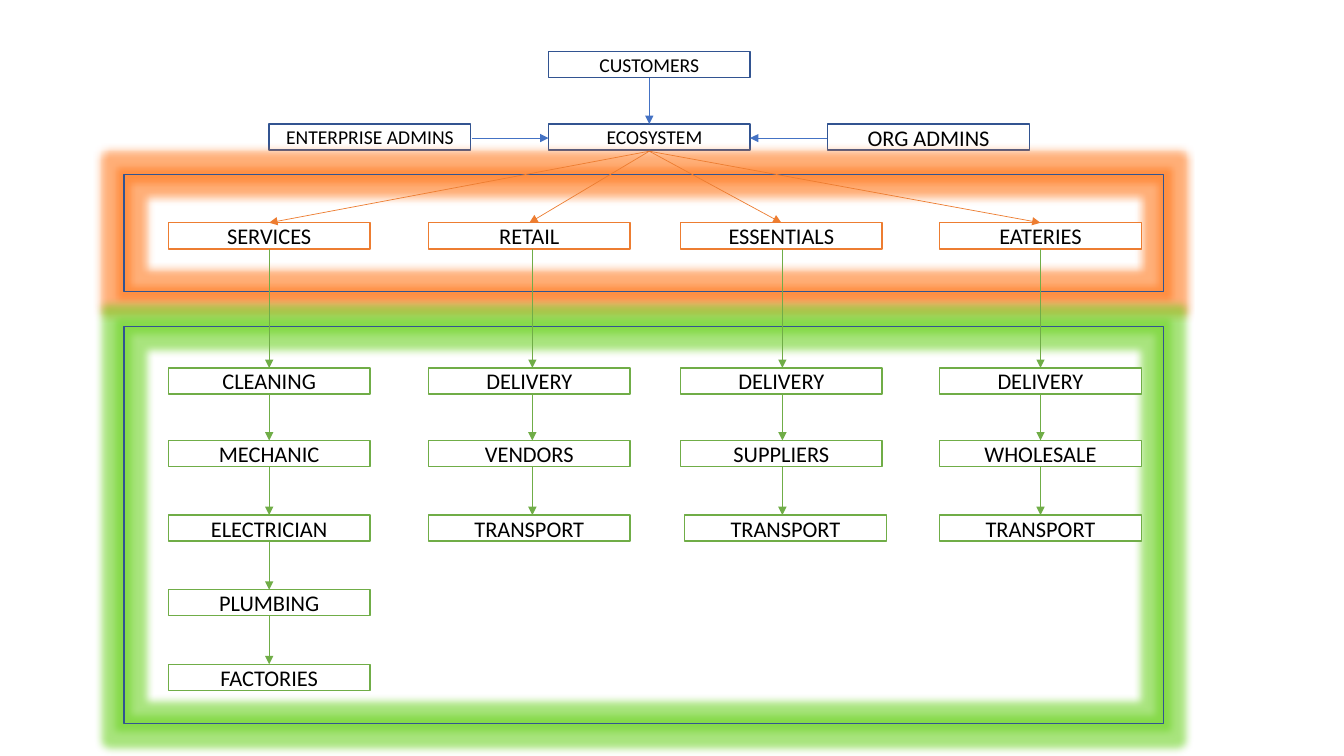
from dataclasses import dataclass

from lxml.etree import SubElement
from pptx import Presentation
from pptx.dml.color import RGBColor
from pptx.enum.shapes import MSO_CONNECTOR as CONN, MSO_SHAPE as SHAPE
from pptx.enum.text import MSO_ANCHOR as ANCHOR, PP_ALIGN as ALIGN
from pptx.oxml.ns import qn
from pptx.util import Inches, Pt


@dataclass(frozen=True)
class Theme:
    font: str = "Calibri"
    small: int = 14
    normal: int = 16
    text: str = "000000"
    paper: str = "FFFFFF"
    navy: str = "325491"
    blue: str = "4472C4"
    orange: str = "ED7D31"
    green: str = "70AD47"
    orange_glow: str = "FF7A1F"
    green_glow: str = "6FD327"
    box_line: float = 1
    arrow_line: float = 0.5
    glow_radius: int = 11
    glow_alpha: int = 60


BOX_W, BOX_H = 2, 0.26
TOP_Y, HUB_Y, SECTOR_Y = 0.51, 1.23, 2.21
HUB_X = 5.44
STEP_YS = (3.65, 4.37, 5.11, 5.85, 6.59)
PANEL_X, PANEL_W = 1.23, 10.31

# left edge, x of the downward arrows, sector, steps
COLUMNS = (
    (1.67, 2.67, "SERVICES",
     ("CLEANING", "MECHANIC", "ELECTRICIAN", "PLUMBING", "FACTORIES")),
    (4.25, 5.28, "RETAIL", ("DELIVERY", "VENDORS", "TRANSPORT")),
    (6.75, 7.76, "ESSENTIALS", ("DELIVERY", "SUPPLIERS", "TRANSPORT")),
    (9.32, 10.32, "EATERIES", ("DELIVERY", "WHOLESALE", "TRANSPORT")),
)
NUDGES = {("ESSENTIALS", "TRANSPORT"): 0.04}


class Diagram:
    def __init__(self, slide, theme):
        self.s = slide
        self.theme = theme

    def rect(self, x, y, w, h, line):
        sp = self.s.shapes.add_shape(
            SHAPE.RECTANGLE, Inches(x), Inches(y), Inches(w), Inches(h))
        sp.shadow.inherit = False
        sp.line.color.rgb = RGBColor.from_string(line)
        sp.line.width = Pt(self.theme.box_line)
        return sp

    def box(self, x, y, text, line, size):
        sp = self.rect(x, y, BOX_W, BOX_H, line)
        sp.fill.solid()
        sp.fill.fore_color.rgb = RGBColor.from_string(self.theme.paper)
        tf = sp.text_frame
        tf.word_wrap = True
        tf.vertical_anchor = ANCHOR.MIDDLE
        p = tf.paragraphs[0]
        p.alignment = ALIGN.CENTER
        r = p.add_run()
        r.text = text
        r.font.name = self.theme.font
        r.font.size = Pt(size)
        r.font.color.rgb = RGBColor.from_string(self.theme.text)
        return sp

    def panel(self, y, h, glow_color):
        """Unfilled frame with a coloured glow."""
        sp = self.rect(PANEL_X, y, PANEL_W, h, self.theme.navy)
        sp.fill.background()
        effects = sp._element.spPr.find(qn("a:effectLst"))
        glow = SubElement(effects, qn("a:glow"),
                          rad=str(Pt(self.theme.glow_radius)))
        color = SubElement(glow, qn("a:srgbClr"), val=glow_color)
        SubElement(color, qn("a:alpha"),
                   val=str(self.theme.glow_alpha * 1000))

    def arrow(self, x1, y1, x2, y2, color):
        c = self.s.shapes.add_connector(
            CONN.STRAIGHT, Inches(x1), Inches(y1), Inches(x2), Inches(y2))
        c.line.color.rgb = RGBColor.from_string(color)
        c.line.width = Pt(self.theme.arrow_line)
        SubElement(c.line._get_or_add_ln(), qn("a:tailEnd"), type="triangle")
        SubElement(c._element.spPr, qn("a:effectLst"))


def draw_hub(d):
    t = d.theme
    mid_x, mid_y = HUB_X + BOX_W / 2, HUB_Y + BOX_H / 2 + 0.01
    d.box(HUB_X, TOP_Y, "CUSTOMERS", t.navy, t.small)
    hub = d.box(HUB_X, HUB_Y, "ECOSYSTEM", t.navy, t.small)
    hub.text_frame.margin_left = Inches(0.2)
    d.box(2.67, HUB_Y, "ENTERPRISE ADMINS", t.navy, t.small)
    d.box(8.21, HUB_Y, "ORG ADMINS", t.navy, t.normal)
    d.arrow(mid_x, TOP_Y + BOX_H, mid_x, HUB_Y, t.blue)
    d.arrow(4.68, mid_y, HUB_X, mid_y, t.blue)
    d.arrow(8.2, mid_y, HUB_X + BOX_W, mid_y, t.blue)


def draw_column(d, left, arrow_x, sector, steps):
    t = d.theme
    d.box(left, SECTOR_Y, sector, t.orange, t.normal)
    d.arrow(HUB_X + BOX_W / 2, HUB_Y + BOX_H + 0.01,
            left + BOX_W / 2, SECTOR_Y, t.orange)
    above = SECTOR_Y
    for y, step in zip(STEP_YS, steps):
        nudge = NUDGES.get((sector, step), 0)
        d.box(left + nudge, y, step, t.green, t.normal)
        d.arrow(arrow_x, above + BOX_H, arrow_x, y, t.green)
        above = y


def main():
    prs = Presentation()
    prs.slide_width, prs.slide_height = Inches(13.33), Inches(7.5)
    d = Diagram(prs.slides.add_slide(prs.slide_layouts[6]), Theme())
    draw_hub(d)
    d.panel(1.73, 1.16, d.theme.orange_glow)
    d.panel(3.24, 3.94, d.theme.green_glow)
    for column in COLUMNS:
        draw_column(d, *column)
    prs.save("out.pptx")


if __name__ == "__main__":
    main()
